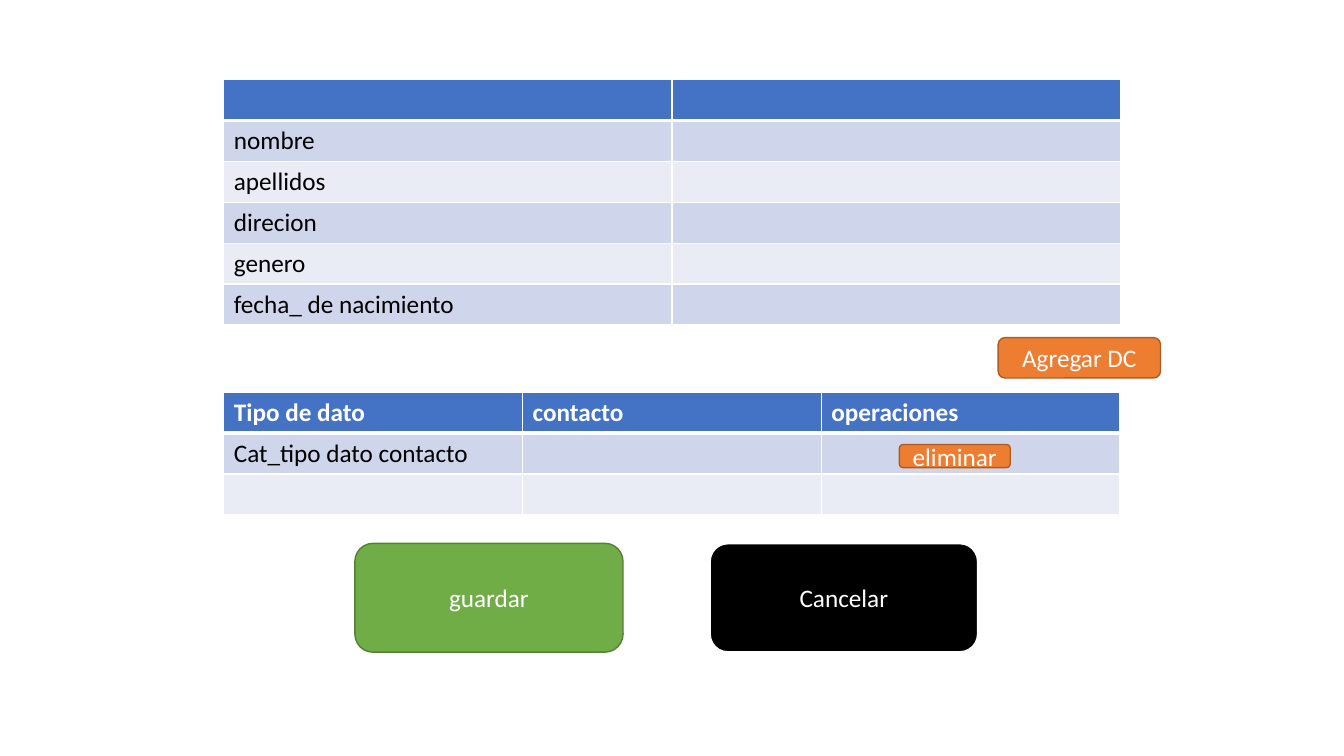
"""Build a contact form slide with two tables and four buttons."""
from dataclasses import dataclass

from lxml.etree import SubElement
from pptx import Presentation
from pptx.dml.color import RGBColor
from pptx.enum.shapes import MSO_SHAPE
from pptx.enum.text import MSO_ANCHOR, PP_ALIGN
from pptx.oxml.ns import qn
from pptx.slide import Slide
from pptx.table import _Cell as Cell
from pptx.text.text import _Paragraph as Paragraph
from pptx.util import Inches, Pt

COLORS = {
    "white": "FFFFFF", "black": "000000", "header": "4472C4",
    "odd_row": "CFD5EA", "even_row": "E9EBF5",
    "green": "70AD47", "dark_green": "538035",
    "orange": "ED7D31", "dark_orange": "AF5C24",
}
FONT = "Calibri"
TABLE_LEFT, TABLE_WIDTH = 2.22, 8.89


@dataclass
class Grid:
    top: float
    height: float
    rows: list[list[str]]


@dataclass
class Button:
    label: str
    left: float
    top: float
    width: float
    height: float
    fill: str
    line: str
    line_width: float = 1


def rgb(color: str) -> RGBColor:
    return RGBColor.from_string(COLORS[color])


def add_text(paragraph: Paragraph, text: str, color: str, bold: bool = False) -> None:
    run = paragraph.add_run()
    run.text = text
    run.font.name = FONT
    run.font.size = Pt(18)
    run.font.bold = bold
    run.font.color.rgb = rgb(color)


def set_borders(cell: Cell, row_index: int) -> None:
    properties = cell._tc.get_or_add_tcPr()
    widths = {
        "a:lnL": 1, "a:lnR": 1,
        "a:lnT": 3 if row_index == 1 else 1,
        "a:lnB": 3 if row_index == 0 else 1,
    }
    for position, (side, width) in enumerate(widths.items()):
        border = SubElement(properties, qn(side), w=str(Pt(width)))
        fill = SubElement(border, qn("a:solidFill"))
        SubElement(fill, qn("a:srgbClr"), val=COLORS["white"])
        properties.insert(position, border)


def draw_grid(slide: Slide, grid: Grid) -> None:
    table = slide.shapes.add_table(
        len(grid.rows), len(grid.rows[0]), Inches(TABLE_LEFT), Inches(grid.top),
        Inches(TABLE_WIDTH), Inches(grid.height)).table
    for row_index, texts in enumerate(grid.rows):
        is_header = row_index == 0
        band = "odd_row" if row_index % 2 else "even_row"
        for column_index, text in enumerate(texts):
            cell = table.cell(row_index, column_index)
            cell.fill.solid()
            cell.fill.fore_color.rgb = rgb("header" if is_header else band)
            set_borders(cell, row_index)
            if text:
                add_text(cell.text_frame.paragraphs[0], text,
                         "white" if is_header else "black", is_header)


def draw_button(slide: Slide, button: Button) -> None:
    shape = slide.shapes.add_shape(
        MSO_SHAPE.ROUNDED_RECTANGLE, Inches(button.left), Inches(button.top),
        Inches(button.width), Inches(button.height))
    shape.shadow.inherit = False
    shape.fill.solid()
    shape.fill.fore_color.rgb = rgb(button.fill)
    shape.line.color.rgb = rgb(button.line)
    shape.line.width = Pt(button.line_width)
    shape.text_frame.vertical_anchor = MSO_ANCHOR.MIDDLE
    paragraph = shape.text_frame.paragraphs[0]
    paragraph.alignment = PP_ALIGN.CENTER
    add_text(paragraph, button.label, "white")


FIELDS = ["", "nombre", "apellidos", "direcion", "genero", "fecha_ de nacimiento"]
GRIDS = [
    Grid(0.79, 2.43, [[field, ""] for field in FIELDS]),
    Grid(3.89, 1.22, [
        ["Tipo de dato", "contacto", "operaciones"],
        ["Cat_tipo dato contacto", "", ""],
        ["", "", ""],
    ]),
]
BUTTONS = [
    Button("guardar", 3.52, 5.39, 2.66, 1.08, "green", "dark_green"),
    Button("Cancelar", 7.04, 5.39, 2.66, 1.08, "black", "white", 1.5),
    Button("Agregar DC", 9.9, 3.35, 1.61, 0.4, "orange", "dark_orange"),
    Button("eliminar", 8.92, 4.41, 1.1, 0.23, "orange", "dark_orange"),
]

presentation = Presentation()
presentation.slide_width = Inches(13.33)
presentation.slide_height = Inches(7.5)
form_slide = presentation.slides.add_slide(presentation.slide_layouts[6])
for form_grid in GRIDS:
    draw_grid(form_slide, form_grid)
for form_button in BUTTONS:
    draw_button(form_slide, form_button)
presentation.save("out.pptx")
